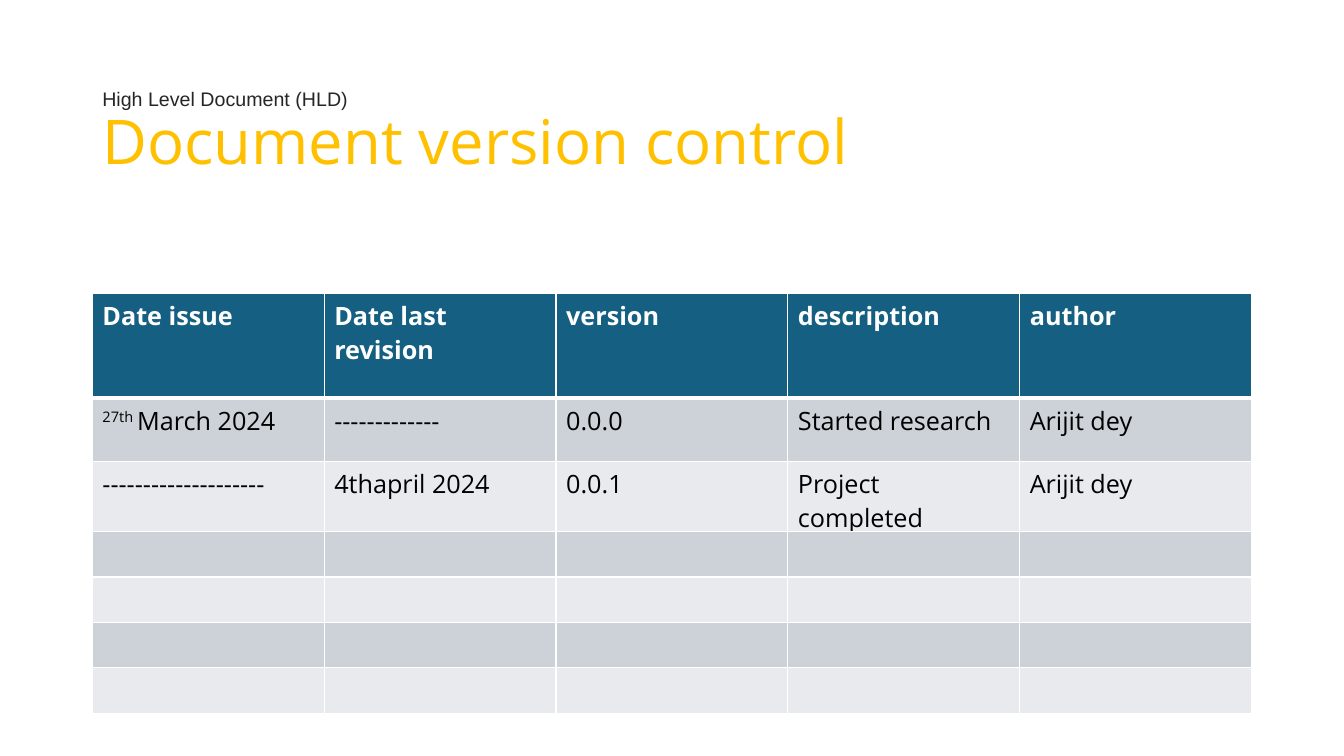
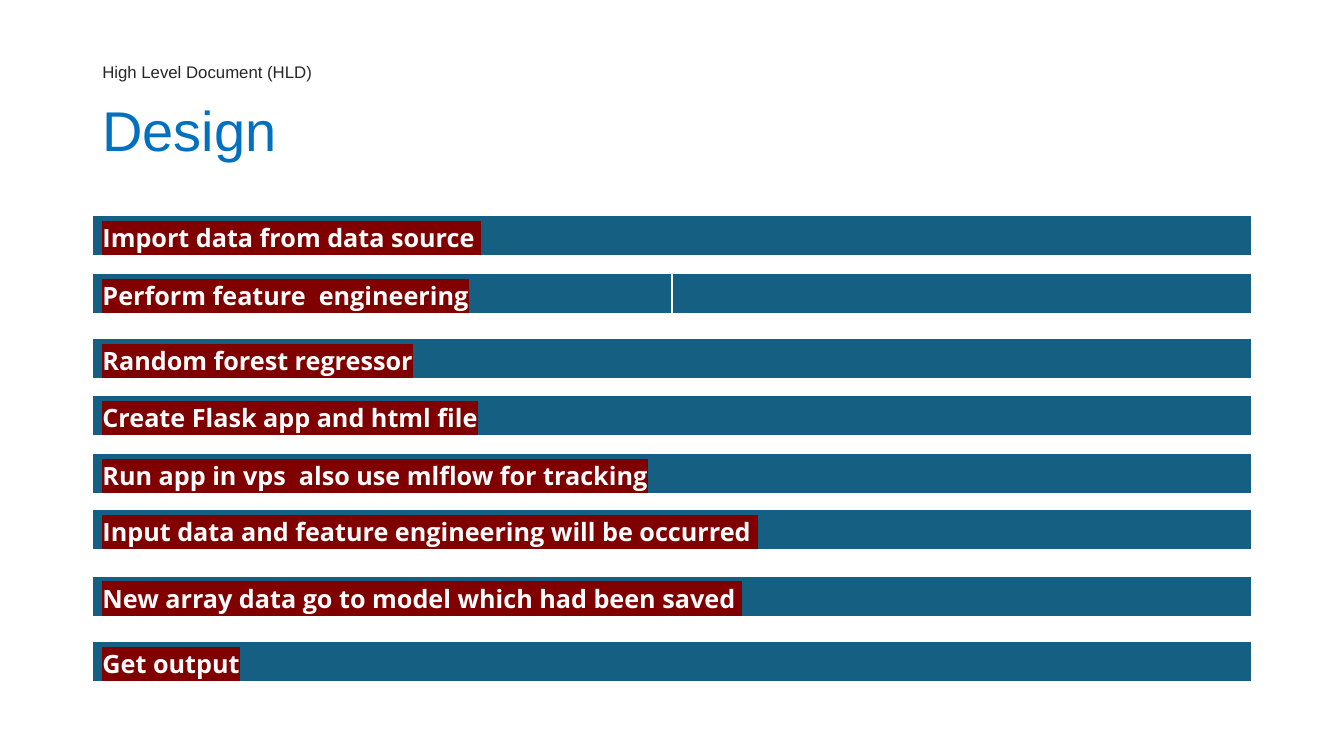
"""Build the version control and design slides of a high level document."""
from dataclasses import dataclass

from lxml.etree import SubElement
from pptx import Presentation
from pptx.dml.color import RGBColor as Rgb
from pptx.enum.text import MSO_ANCHOR as Anchor
from pptx.oxml.ns import qn
from pptx.util import Inches, Pt


@dataclass(frozen=True)
class Theme:
    """Colours, fonts and type sizes shared by the slides."""
    white: str = "FFFFFF"
    black: str = "000000"
    overline: str = "262626"
    gold: str = "FFC000"
    blue: str = "0070C0"
    header: str = "156082"
    bands: tuple = ("CCD2D8", "E8EAED")
    marker: str = "800000"
    sans: str = "Arial"
    body: str = "Open Sans"
    body_size: int = 18
    rule: int = 1
    heavy_rule: int = 3


THEME = Theme()
GRID = Inches(1) / 12
LEFT, WIDTH = 11, 138
TITLE_TOP = 4.8
BAR_HEIGHT = 4.9
DOCUMENT = "High Level Document (HLD)"
HEADINGS = ["Date issue", "Date last revision", "version", "description", "author"]
VERSIONS = [
    [("27th ", "March 2024"), "-------------", "0.0.0", "Started research", "Arijit dey"],
    ["--------------------", "4thapril 2024", "0.0.1", "Project completed", "Arijit dey"],
]
SPARE_ROWS = 4
VERSION_HEIGHTS = [12.5, 7.5] + [5.4] * (1 + SPARE_ROWS)
STEPS = [
    (25.7, ["Import data from data source "]),
    (32.6, ["Perform feature  engineering", ""]),
    (40.3, ["Random forest regressor"]),
    (47.1, ["Create Flask app and html file"]),
    (54, ["Run app in vps  also use mlflow for tracking"]),
    (60.7, ["Input data and feature engineering will be occurred "]),
    (68.6, ["New array data go to model which had been saved "]),
    (76.4, ["Get output"]),
]


def cells(count):
    """Turn a number of grid cells into a length."""
    return round(count * GRID)


def add_colour(parent, colour):
    """Add an RGB colour element to an XML parent."""
    SubElement(parent, qn("a:srgbClr"), val=colour)


class Deck:
    """Holds the presentation, its style and the current slide."""

    def __init__(self, theme):
        """Start an empty widescreen presentation."""
        self.theme = theme
        self.show = Presentation()
        self.show.slide_width, self.show.slide_height = cells(160), cells(90)
        self.slide = None

    def new_slide(self):
        """Add a blank slide and make it current."""
        self.slide = self.show.slides.add_slide(self.show.slide_layouts[6])

    def style(self, paragraph, size, name, colour, bold=False):
        """Set the font of a whole paragraph."""
        font = paragraph.font
        font.size, font.name, font.bold = Pt(size), name, bold
        font.color.rgb = Rgb.from_string(colour)

    def title(self, text, height, size, name, colour, overline_size, gap=0):
        """Add the document name with the slide title below it."""
        box = self.slide.shapes.add_textbox(
            cells(LEFT), cells(TITLE_TOP), cells(WIDTH), cells(height))
        frame = box.text_frame
        frame.word_wrap, frame.vertical_anchor = True, Anchor.MIDDLE
        overline, heading = frame.paragraphs[0], frame.add_paragraph()
        overline.text, heading.text = DOCUMENT, text
        self.style(overline, overline_size, self.theme.sans, self.theme.overline)
        self.style(heading, size, name, colour)
        overline.line_spacing = heading.line_spacing = 0.9
        heading.space_before = Pt(gap)

    def borders(self, cell, top, bottom):
        """Draw white rules around a table cell."""
        properties = cell._tc.get_or_add_tcPr()
        weights = {"L": self.theme.rule, "R": self.theme.rule, "T": top, "B": bottom}
        for side, weight in weights.items():
            line = SubElement(properties, qn(f"a:ln{side}"), w=str(Pt(weight)))
            add_colour(SubElement(line, qn("a:solidFill")), self.theme.white)

    def fill_cell(self, cell, content, is_header, marked):
        """Write a cell; a pair of texts is a superscript and its follower."""
        paragraph = cell.text_frame.paragraphs[0]
        theme = self.theme
        self.style(paragraph, theme.body_size, theme.body,
                   theme.white if is_header else theme.black, is_header)
        pieces = content if isinstance(content, tuple) else (content,)
        for position, piece in enumerate(filter(None, pieces)):
            run = paragraph.add_run()
            run.text = piece
            properties = run._r.get_or_add_rPr()
            if len(pieces) > 1 and position == 0:
                properties.set("baseline", "30000")
            if marked:
                add_colour(SubElement(properties, qn("a:highlight")), theme.marker)

    def table(self, top, rows, heights, marked=False):
        """Add a table whose first row is a header above banded rows."""
        theme, columns = self.theme, len(rows[0])
        table = self.slide.shapes.add_table(
            len(rows), columns, cells(LEFT), cells(top),
            cells(WIDTH), cells(sum(heights))).table
        table.first_row = table.horz_banding = False
        for column in table.columns:
            column.width = cells(WIDTH / columns)
        for index, (contents, height) in enumerate(zip(rows, heights)):
            table.rows[index].height = cells(height)
            is_header = index == 0
            colour = theme.header if is_header else theme.bands[(index - 1) % 2]
            above = theme.heavy_rule if index == 1 else theme.rule
            below = theme.heavy_rule if is_header else theme.rule
            for cell, content in zip(table.rows[index].cells, contents):
                self.borders(cell, above, below)
                cell.fill.solid()
                cell.fill.fore_color.rgb = Rgb.from_string(colour)
                self.fill_cell(cell, content, is_header, marked)


def main():
    """Build both slides and save them."""
    deck = Deck(THEME)

    deck.new_slide()
    deck.title("Document version control", 22.2, 44, THEME.body, THEME.gold, 14)
    spare = [[""] * len(HEADINGS)] * SPARE_ROWS
    deck.table(34.9, [HEADINGS, *VERSIONS, *spare], VERSION_HEIGHTS)

    deck.new_slide()
    deck.title("Design", 17.4, 40, THEME.sans, THEME.blue, 12, gap=15)
    for top, step in STEPS:
        deck.table(top, [step], [BAR_HEIGHT], marked=True)

    deck.show.save("out.pptx")


if __name__ == "__main__":
    main()
